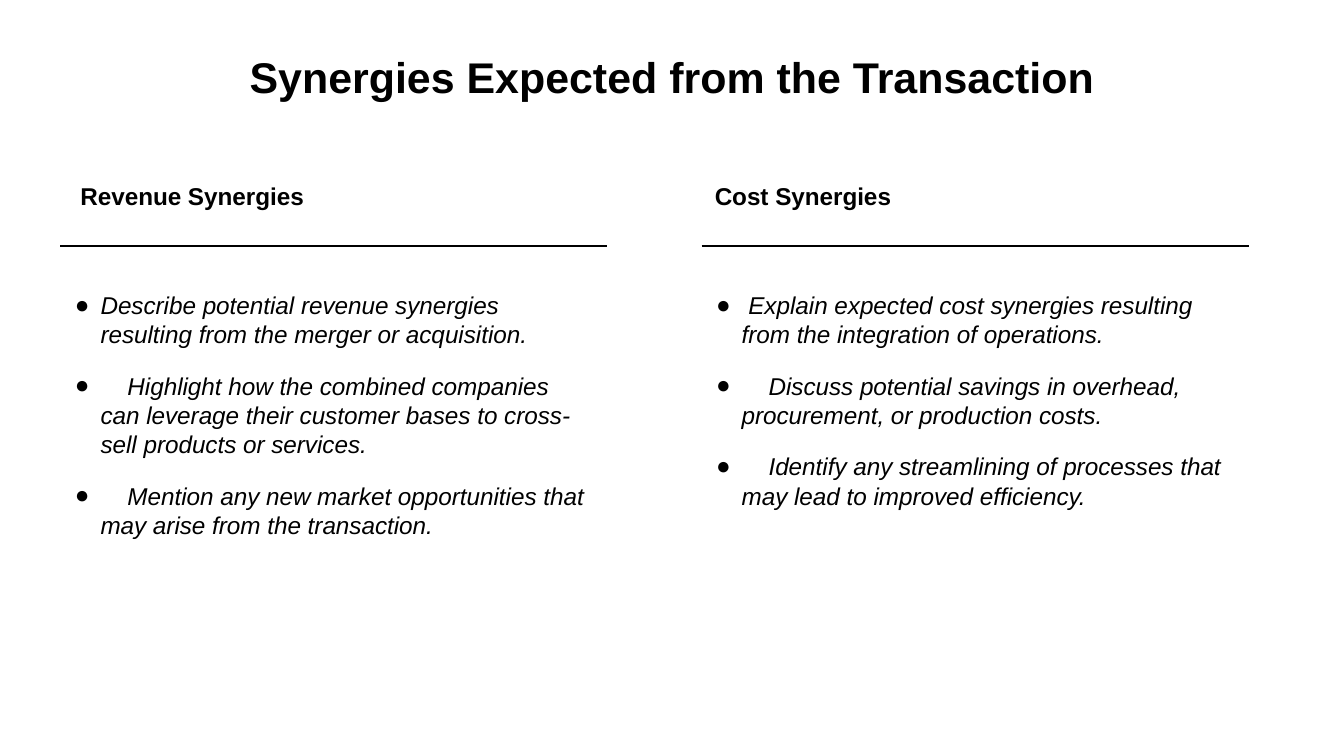
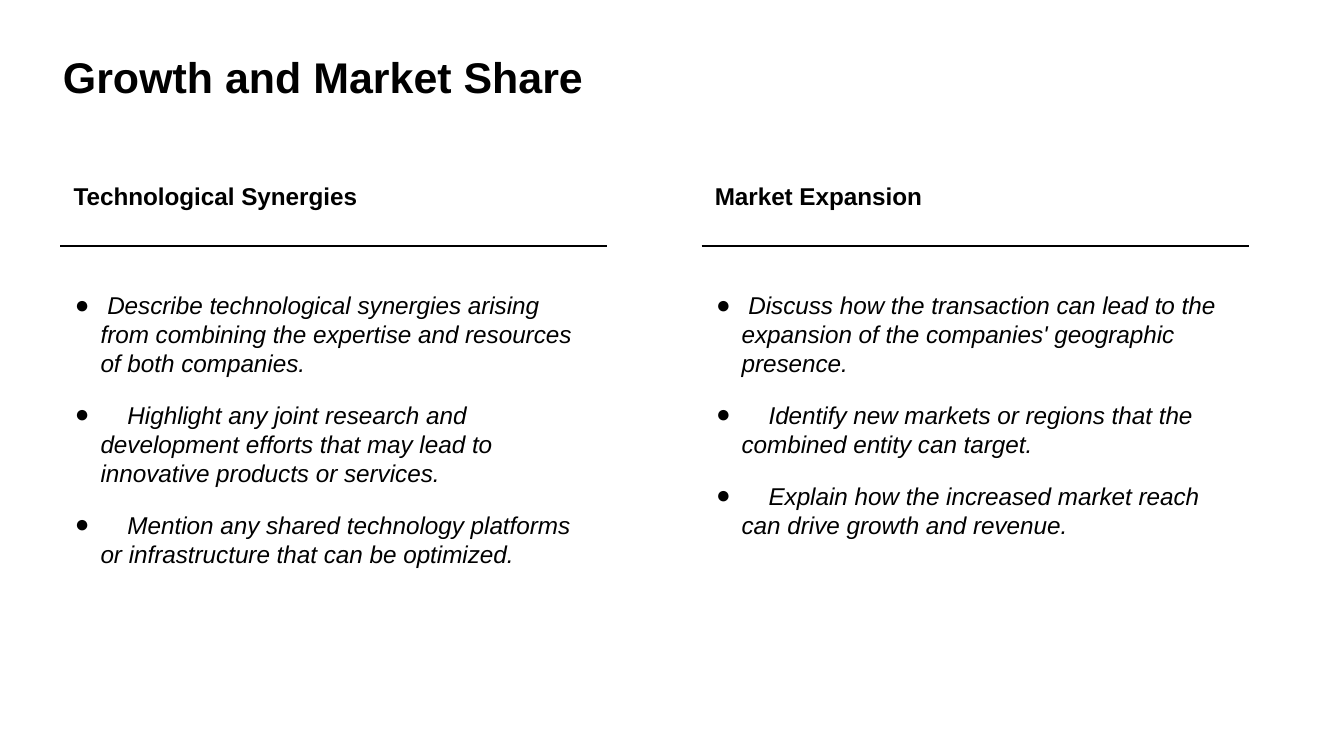
from pptx import Presentation
from pptx.dml.color import RGBColor
from pptx.enum.shapes import MSO_CONNECTOR
from pptx.enum.text import MSO_ANCHOR, MSO_AUTO_SIZE, PP_ALIGN
from pptx.oxml.ns import qn
from pptx.util import Pt
from lxml.etree import SubElement

PX = 4572  # EMU per px, 200 px to the inch
INK, PAPER = "000000", "FFFFFF"
FONT = "Arial"
INSET = 20
TITLE = (74, 56, 1854, 118)
COLS = [(90, 250, 812), (1044, 250, 812)]  # left, top, width
LEAD = 1084  # widens one space to four, in 1/100 pt

# Title, alignment, then columns: heading, lines of text, first point, further points
SLIDES = [
    ("Synergies Expected from the Transaction", PP_ALIGN.CENTER, [
        (" Revenue Synergies", 7,
         "Describe potential revenue synergies resulting from the merger or acquisition.",
         ["Highlight how the combined companies can leverage their customer bases "
          "to cross-sell products or services.",
          "Mention any new market opportunities that may arise from the transaction."]),
        ("Cost Synergies", 6,
         " Explain expected cost synergies resulting from the integration of operations.",
         ["Discuss potential savings in overhead, procurement, or production costs.",
          "Identify any streamlining of processes that may lead to improved efficiency."]),
    ]),
    ("Growth and Market Share", PP_ALIGN.LEFT, [
        ("Technological Synergies", 8,
         " Describe technological synergies arising from combining the expertise "
         "and resources of both companies.",
         ["Highlight any joint research and development efforts that may lead to "
          "innovative products or services.",
          "Mention any shared technology platforms or infrastructure that can be optimized."]),
        ("Market Expansion", 7,
         " Discuss how the transaction can lead to the expansion of the companies' "
         "geographic presence.",
         ["Identify new markets or regions that the combined entity can target.",
          "Explain how the increased market reach can drive growth and revenue."]),
    ]),
]


def px(n):
    return n * PX


def color(code):
    return RGBColor.from_string(code)


def style(run, size, bold=False, italic=False):
    font = run.font
    font.name, font.size = FONT, Pt(size)
    font.bold, font.italic = bold, italic
    font.color.rgb = color(INK)


def add_box(slide, box):
    """Add a wrapping text box and return its frame."""
    frame = slide.shapes.add_textbox(*map(px, box)).text_frame
    frame.word_wrap = True
    frame.auto_size = MSO_AUTO_SIZE.SHAPE_TO_FIT_TEXT
    frame.vertical_anchor = MSO_ANCHOR.TOP
    frame.margin_left = frame.margin_right = px(INSET)
    frame.margin_top = frame.margin_bottom = px(INSET)
    return frame


def add_head(slide, box, text, size, align=PP_ALIGN.LEFT):
    para = add_box(slide, box).paragraphs[0]
    para.text, para.alignment = text, align
    style(para.runs[0], size, bold=True)


def add_rule(slide, left, top, width):
    line = slide.shapes.add_connector(
        MSO_CONNECTOR.STRAIGHT, px(left), px(top), px(left + width), px(top))
    line.line.color.rgb = color(INK)
    line.line.width = Pt(1.5)
    SubElement(line._element.spPr, qn("a:effectLst"))


def set_bullet(para):
    props = para._p.get_or_add_pPr()
    props.set("marL", str(px(40)))
    props.set("indent", str(px(-38)))
    tint = SubElement(props, qn("a:buClr"))
    SubElement(tint, qn("a:srgbClr"), val=INK)
    SubElement(props, qn("a:buFont"), typeface=FONT)
    SubElement(props, qn("a:buChar"), char="●")


def add_points(slide, box, first, more):
    frame = add_box(slide, box)
    for i, text in enumerate([first] + more):
        para = frame.paragraphs[0] if i == 0 else frame.add_paragraph()
        para.space_after = Pt(12)
        set_bullet(para)
        # Later points start with one widened space
        if i:
            gap = para.add_run()
            gap.text = " "
            style(gap, 13, italic=True)
            gap.font._element.set("spc", str(LEAD))
        run = para.add_run()
        run.text = text
        style(run, 13, italic=True)


def add_column(slide, box, head, lines, first, more):
    left, top, width = box
    add_head(slide, (left, top, width, 84), head, 13)
    add_rule(slide, left, top + 116, width + 2)
    add_points(slide, (left, top + 162, width, 140 + 44 * lines), first, more)


def add_slide(deck, title, align, cols):
    slide = deck.slides.add_slide(deck.slide_layouts[6])
    fill = slide.background.fill
    fill.solid()
    fill.fore_color.rgb = color(PAPER)
    add_head(slide, TITLE, title, 23, align)
    for box, col in zip(COLS, cols):
        add_column(slide, box, *col)


def main():
    deck = Presentation()
    deck.slide_width, deck.slide_height = px(2000), px(1125)
    for page in SLIDES:
        add_slide(deck, *page)
    deck.save("out.pptx")


if __name__ == "__main__":
    main()
